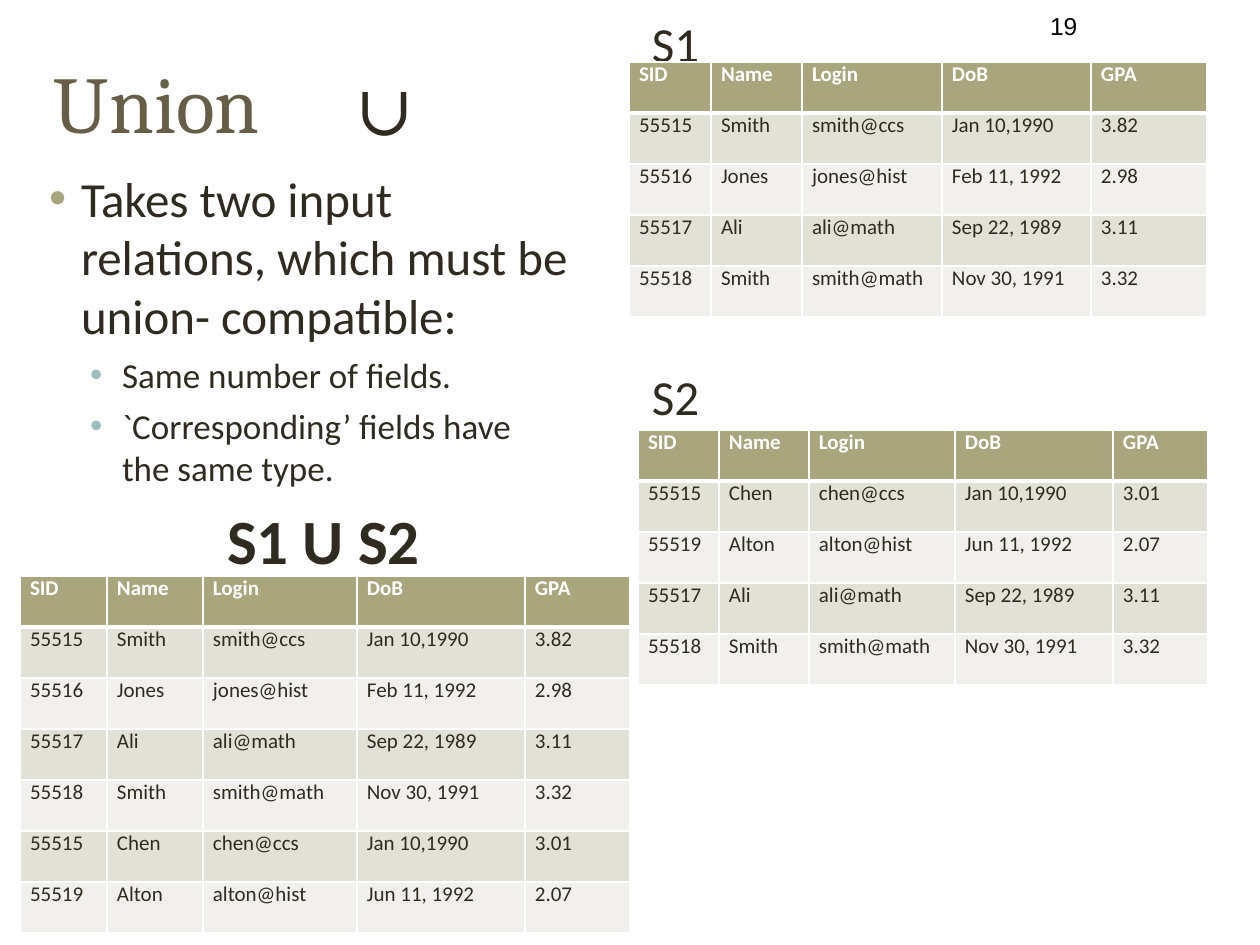
from lxml import etree
from pptx import Presentation
from pptx import util as u
from pptx.dml.color import RGBColor
from pptx.enum import text
from pptx.oxml import ns

PX = 914400 / 126
INK = RGBColor(0x2F, 0x2B, 0x20)
BROWN = RGBColor(0x67, 0x5E, 0x47)
OLIVE = RGBColor(0xA9, 0xA5, 0x7C)
TEAL = RGBColor(0x9C, 0xBE, 0xBD)
BAND_DARK = RGBColor(0xE2, 0xE1, 0xD7)
BAND_LIGHT = RGBColor(0xF1, 0xF0, 0xEC)
WHITE = RGBColor(0xFF, 0xFF, 0xFF)
BLACK = RGBColor(0, 0, 0)

ROW_HEIGHT = 51
HEADER = ("SID", "Name", "Login", "DoB", "GPA")
ALI = ("55517", "Ali", "ali@math", "Sep 22, 1989", "3.11")
SMITH = ("55518", "Smith", "smith@math", "Nov 30, 1991", "3.32")
S1 = [
    ("55515", "Smith", "smith@ccs", "Jan 10,1990", "3.82"),
    ("55516", "Jones", "jones@hist", "Feb 11, 1992", "2.98"),
    ALI,
    SMITH,
]
S2 = [
    ("55515", "Chen", "chen@ccs", "Jan 10,1990", "3.01"),
    ("55519", "Alton", "alton@hist", "Jun 11, 1992", "2.07"),
    ALI,
    SMITH,
]
UNION = S1 + [row for row in S2 if row not in S1]


def px(n):
    """Turn pixels into EMU."""
    return u.Emu(round(n * PX))


def place(sp, left, top, width, height):
    """Move and size a shape given in pixels."""
    sp.left, sp.top, sp.width, sp.height = map(px, (left, top, width, height))


def prepare_frame(tf, anchor=text.MSO_ANCHOR.TOP):
    """Make a text frame wrap, without margins or autofit."""
    tf.word_wrap = True
    tf.auto_size = text.MSO_AUTO_SIZE.NONE
    tf.vertical_anchor = anchor
    tf.margin_left = tf.margin_top = tf.margin_right = tf.margin_bottom = 0


def add_run(p, words, size, color, font="Calibri", bold=False):
    """Add one formatted run to a paragraph."""
    r = p.add_run()
    r.text = words
    r.font.size = u.Pt(size)
    r.font.name = font
    r.font.bold = bold
    r.font.color.rgb = color


def set_indent(p, left, first, right=0):
    """Set paragraph indents in pixels."""
    pPr = p._p.get_or_add_pPr()
    pPr.set("marL", str(px(left)))
    pPr.set("marR", str(px(right)))
    pPr.set("indent", str(px(first)))


def set_bullet(p, color):
    """Give a paragraph a coloured round bullet, or none."""
    pPr = p._p.get_or_add_pPr()
    if color is None:
        etree.SubElement(pPr, ns.qn("a:buNone"))
        return
    clr = etree.SubElement(pPr, ns.qn("a:buClr"))
    etree.SubElement(clr, ns.qn("a:srgbClr"), val=str(color))
    etree.SubElement(pPr, ns.qn("a:buFont"), typeface="Arial")
    etree.SubElement(pPr, ns.qn("a:buChar"), char="•")


def add_title(s):
    """Fill the title placeholder."""
    sp = s.shapes.title
    place(sp, 53, 53, 287, 84)
    prepare_frame(sp.text_frame)
    p = sp.text_frame.paragraphs[0]
    p.alignment = text.PP_ALIGN.LEFT
    set_indent(p, 1, 0)
    add_run(p, "Union", 46, BROWN, "Cambria")


def add_body(s):
    """Fill the body placeholder with the bullets and the result heading."""
    items = [
        ("Takes two input relations, which must be union- compatible:",
         0, 28, 0, (33, -32, 10), OLIVE),
        ("Same number of fields.", 1, 20, 5.3, (74, -32), TEAL),
        ("`Corresponding’ fields have the same type.", 1, 20, 4.8, (74, -32, 50), TEAL),
        ("S1 U S2", 0, 36, 7.6, (180, -1), None),
    ]
    sp = s.placeholders[1]
    place(sp, 48, 168, 543, 407)
    tf = sp.text_frame
    prepare_frame(tf)
    for i, (words, level, size, before, indent, bullet) in enumerate(items):
        p = tf.add_paragraph() if i else tf.paragraphs[0]
        p.level = level
        p.space_before = u.Pt(before)
        set_indent(p, *indent)
        set_bullet(p, bullet)
        add_run(p, words, size, INK, bold=bullet is None)


def add_label(s, words, box, size, color, font="Calibri", anchor=text.MSO_ANCHOR.TOP):
    """Add a short text box."""
    sp = s.shapes.add_textbox(*map(px, box))
    prepare_frame(sp.text_frame, anchor)
    add_run(sp.text_frame.paragraphs[0], words, size, color, font)


def set_borders(cell, top, bottom):
    """Draw white cell borders, with top and bottom widths in points."""
    tcPr = cell._tc.get_or_add_tcPr()
    for side, width in (("L", 1), ("R", 1), ("T", top), ("B", bottom)):
        ln = etree.SubElement(tcPr, ns.qn("a:ln" + side), w=str(u.Pt(width)))
        fill = etree.SubElement(ln, ns.qn("a:solidFill"))
        etree.SubElement(fill, ns.qn("a:srgbClr"), val=str(WHITE))


def fill_cell(cell, words, row):
    """Write and format one relation cell."""
    cell.margin_left = cell.margin_top = cell.margin_right = cell.margin_bottom = 0
    set_borders(cell, 3 if row == 1 else 1, 3 if row == 0 else 1)
    cell.fill.solid()
    band = BAND_DARK if row % 2 else BAND_LIGHT
    cell.fill.fore_color.rgb = band if row else OLIVE
    p = cell.text_frame.paragraphs[0]
    set_indent(p, 11, -1)
    add_run(p, words, 12, INK if row else WHITE, bold=row == 0)


def add_relation(s, left, top, widths, tuples):
    """Add a relation as a table under the shared header."""
    rows = [HEADER] + tuples
    frame = s.shapes.add_table(len(rows), len(widths), px(left), px(top),
                               px(sum(widths)), px(ROW_HEIGHT * len(rows)))
    table = frame.table
    for column, width in zip(table.columns, widths):
        column.width = px(width)
    for i, values in enumerate(rows):
        table.rows[i].height = px(ROW_HEIGHT)
        for j, value in enumerate(values):
            fill_cell(table.cell(i, j), value, i)


def main():
    """Build the union slide."""
    prs = Presentation()
    prs.slide_width, prs.slide_height = px(1260), px(945)
    s = prs.slides.add_slide(prs.slide_layouts[1])
    add_title(s)
    add_body(s)
    add_label(s, "S1", (652, 14, 50, 53), 28, INK)
    add_label(s, "S2", (652, 367, 50, 53), 28, INK)
    add_label(s, "∪", (356, 66, 52, 73), 40, INK, "Cambria")
    add_label(s, "19", (1050, 3, 147, 45), 14, BLACK, "Arial", text.MSO_ANCHOR.MIDDLE)
    add_relation(s, 629, 62, (82, 91, 140, 149, 116), S1)
    add_relation(s, 638, 430, (81, 90, 146, 158, 95), S2)
    add_relation(s, 20, 576, (87, 96, 154, 168, 105), UNION)
    prs.save("out.pptx")


if __name__ == "__main__":
    main()
